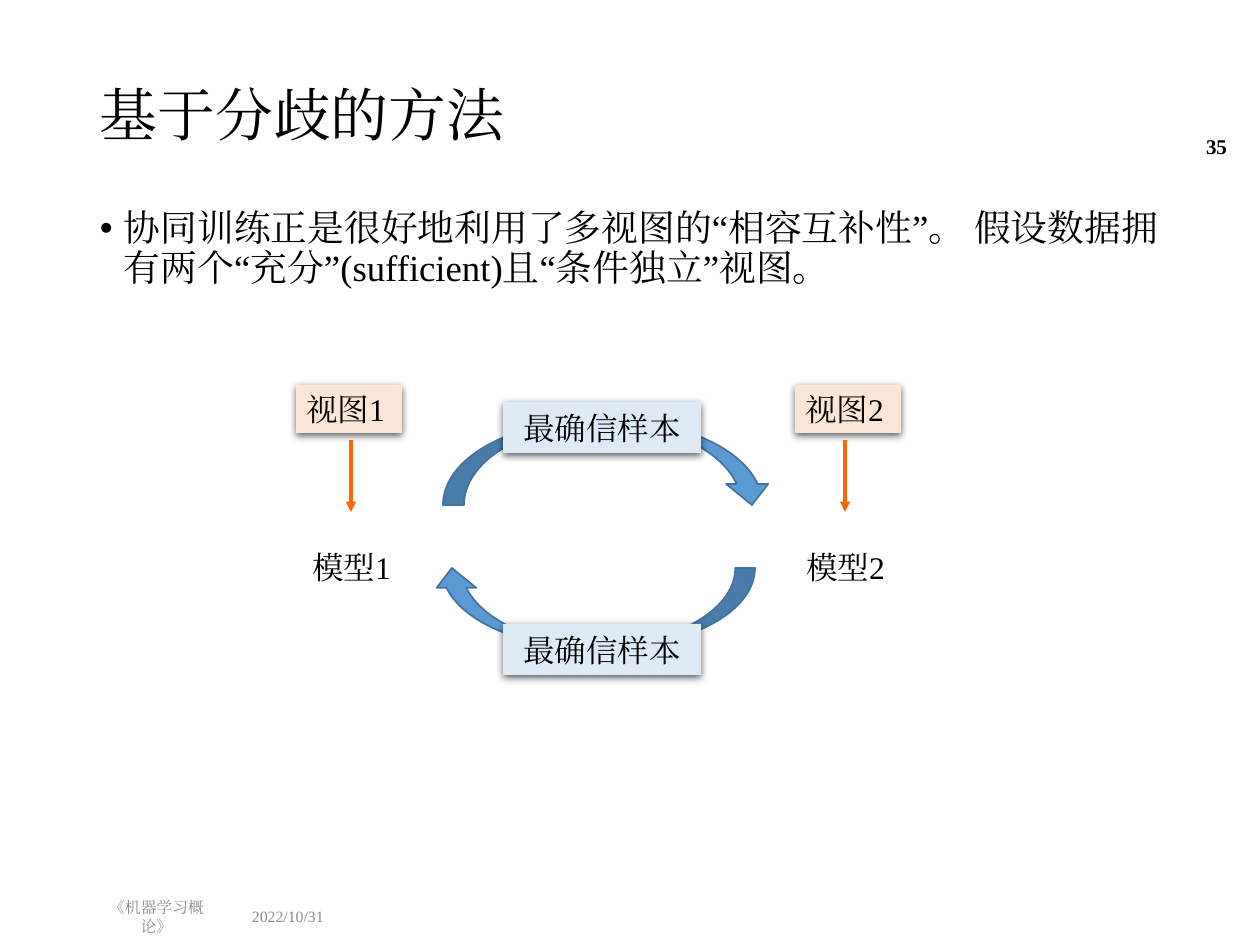
from dataclasses import dataclass

from lxml.etree import SubElement
from pptx import Presentation
from pptx.dml.color import RGBColor
from pptx.enum.lang import MSO_LANGUAGE_ID as Language
from pptx.enum.shapes import MSO_CONNECTOR as Connector, MSO_SHAPE as Shape
from pptx.enum.text import MSO_ANCHOR as Anchor, PP_ALIGN as Align
from pptx.oxml.ns import qn
from pptx.util import Pt

PX = 914400 / 126
FONT = "Times New Roman"
COLORS = {
    "text": "000000",
    "muted": "8C8C8C",
    "view": "FBE5D6",
    "sample": "DEEBF7",
    "arrow": "5B9BD5",
    "arrow_edge": "43739E",
    "link": "FF6600",
}


@dataclass
class Label:
    text: str
    left: int
    top: int
    width: int
    height: int
    size: int = 18
    color: str = "text"
    fill: str = ""
    align: Align = Align.LEFT
    anchor: Anchor = Anchor.MIDDLE
    spacing: float = 1.0
    inset: tuple[int, int] = (13, 6)
    bold: bool = False
    wrap: bool = True
    bullet: bool = False


@dataclass
class CurvedArrow:
    left: int
    top: int
    width: int
    height: int
    rotation: int = 0


def emu(*lengths: int) -> list[int]:
    return [round(length * PX) for length in lengths]


def rgb(name: str) -> RGBColor:
    return RGBColor.from_string(COLORS[name])


def add_shadow(box) -> None:
    box.shadow.inherit = False
    effects = box._element.spPr.find(qn("a:effectLst"))
    shadow = SubElement(effects, qn("a:outerShdw"), blurRad="57150", dist="19050",
                        dir="5400000", algn="ctr", rotWithShape="0")
    color = SubElement(shadow, qn("a:srgbClr"), val="000000")
    SubElement(color, qn("a:alpha"), val="63000")


def add_label(page, label: Label) -> None:
    place = emu(label.left, label.top, label.width, label.height)
    if label.fill:
        box = page.shapes.add_shape(Shape.RECTANGLE, *place)
        box.fill.solid()
        box.fill.fore_color.rgb = rgb(label.fill)
        box.line.fill.background()
        add_shadow(box)
    else:
        box = page.shapes.add_textbox(*place)
    frame = box.text_frame
    frame.text = label.text
    frame.word_wrap = label.wrap
    frame.vertical_anchor = label.anchor
    side, edge = emu(*label.inset)
    frame.margin_left = frame.margin_right = side
    frame.margin_top = frame.margin_bottom = edge
    para = frame.paragraphs[0]
    if label.bullet:
        props = para._p.get_or_add_pPr()
        indent = emu(24)[0]
        props.set("marL", str(indent))
        props.set("indent", str(-indent))
        SubElement(props, qn("a:buFont"), typeface="Arial")
        SubElement(props, qn("a:buChar"), char="•")
    para.alignment = label.align
    para.line_spacing = label.spacing
    for span in para.runs:
        font = span.font
        font.name = FONT
        font.size = Pt(label.size)
        font.bold = label.bold
        font.color.rgb = rgb(label.color)
        font.language_id = Language.SIMPLIFIED_CHINESE
        SubElement(span._r.get_or_add_rPr(), qn("a:ea"), typeface=FONT)


def add_link(page, x: int, top: int, bottom: int) -> None:
    link = page.shapes.add_connector(Connector.STRAIGHT, *emu(x, top, x, bottom))
    link.line.color.rgb = rgb("link")
    link.line.width = Pt(1.75)
    SubElement(link.line._get_or_add_ln(), qn("a:tailEnd"), type="triangle")
    SubElement(link._element.spPr, qn("a:effectLst"))


def add_curved_arrow(page, arrow: CurvedArrow) -> None:
    place = emu(arrow.left, arrow.top, arrow.width, arrow.height)
    shape = page.shapes.add_shape(Shape.CURVED_DOWN_ARROW, *place)
    shape.rotation = arrow.rotation
    shape.shadow.inherit = False
    shape.fill.solid()
    shape.fill.fore_color.rgb = rgb("arrow")
    shape.line.color.rgb = rgb("arrow_edge")
    shape.line.width = Pt(1)


# Title, body and footer
FRAME_LABELS = [
    Label("基于分歧的方法", 87, 50, 1086, 135, size=33, spacing=0.9),
    Label("协同训练正是很好地利用了多视图的“相容互补性”。 假设数据拥有两个“充分”(sufficient)且“条件独立”视图。",
          87, 204, 1086, 679, size=21, spacing=0.9, anchor=Anchor.TOP, bullet=True),
    Label("2022/10/31", 239, 898, 115, 37, size=9, color="muted"),
    Label("《机器学习概论》", 87, 898, 139, 37, size=9, color="muted", align=Align.CENTER),
    Label("35", 1153, 121, 87, 50, size=12, align=Align.RIGHT, bold=True),
]

# One column per view: number, view left, model left, link x
COLUMNS = [(1, 296, 301, 351), (2, 795, 795, 845)]

CURVED_ARROWS = [
    CurvedArrow(443, 421, 330, 84),
    CurvedArrow(432, 568, 323, 79, rotation=180),
]
SAMPLE_TOPS = [402, 624]


def main() -> None:
    deck = Presentation()
    deck.slide_width, deck.slide_height = emu(1260, 945)
    page = deck.slides.add_slide(deck.slide_layouts[6])

    for label in FRAME_LABELS:
        add_label(page, label)

    # Views feeding their models
    for number, view_left, model_left, link_x in COLUMNS:
        add_label(page, Label(f"视图{number}", view_left, 385, 106, 48,
                              fill="view", inset=(10, 5), wrap=False))
        add_label(page, Label(f"模型{number}", model_left, 551, 101, 40, spacing=0.8,
                              align=Align.CENTER, inset=(10, 5)))
        add_link(page, link_x, 440, 512)

    # Exchange of samples between the models
    for arrow in CURVED_ARROWS:
        add_curved_arrow(page, arrow)
    for top in SAMPLE_TOPS:
        add_label(page, Label("最确信样本", 503, top, 198, 51, fill="sample",
                              align=Align.CENTER))

    deck.save("out.pptx")


if __name__ == "__main__":
    main()
